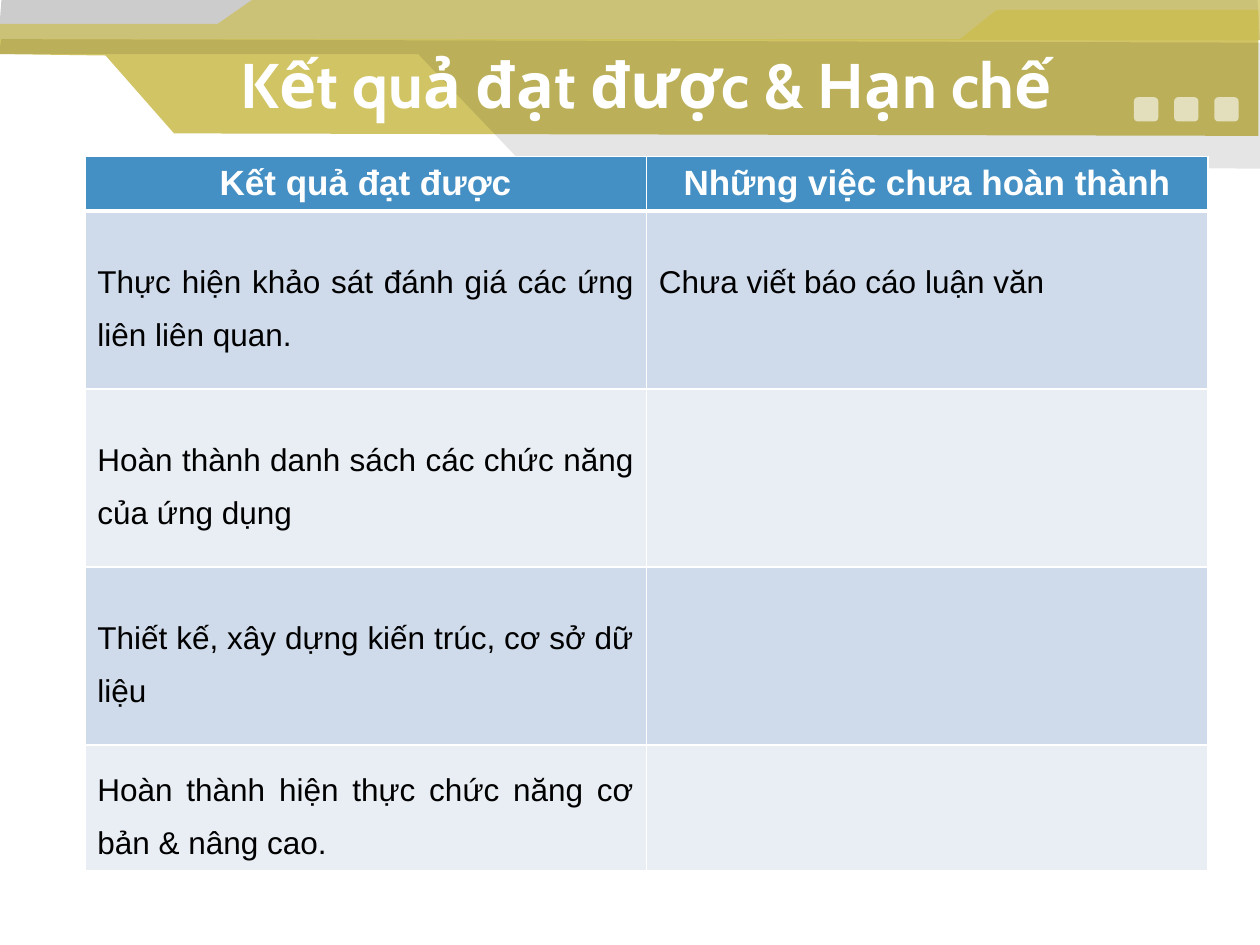
from pptx import Presentation
from pptx.util import Cm, Pt
from pptx.dml.color import RGBColor
from pptx.enum.shapes import MSO_SHAPE
from pptx.enum.text import MSO_ANCHOR, PP_ALIGN
from pptx.oxml import parse_xml
from pptx.oxml.ns import nsdecls, qn
from lxml.etree import SubElement

WHITE = RGBColor(0xFF, 0xFF, 0xFF)
BLACK = RGBColor(0, 0, 0)
GOLD = RGBColor(0xCC, 0xBE, 0x54)
BLUE = RGBColor(0x44, 0x90, 0xC4)
DARK = RGBColor(0xCF, 0xDB, 0xEA)
LIGHT = RGBColor(0xE9, 0xEE, 0xF5)


def paint(shape, color, alpha):
    shape.shadow.inherit = False
    shape.line.fill.background()
    shape.fill.solid()
    shape.fill.fore_color.rgb = color
    node = shape.element.spPr.find(qn("a:solidFill"))[0]
    SubElement(node, qn("a:alpha")).set("val", str(alpha * 1000))


def border(cell, side, width):
    cell._tc.get_or_add_tcPr().append(parse_xml(
        f'<a:ln{side} {nsdecls("a")} w="{Pt(width)}"><a:solidFill>'
        f'<a:srgbClr val="{WHITE}"/></a:solidFill></a:ln{side}>'))


deck = Presentation()
deck.slide_width = Cm(25.4)
deck.slide_height = Cm(19.05)
slide = deck.slides.add_slide(deck.slide_layouts[6])
shapes = slide.shapes

bands = [
    (BLACK, 20, [(-0.03, 0.79), (0.03, 0), (25.35, 0), (25.4, 0.81)]),
    (GOLD, 90, [(0, 0.79), (19.35, 0.79), (20.09, 0.2), (25.37, 0.2),
                (25.37, 2.74), (3.51, 2.69), (2.13, 1.12), (-0.03, 1.09)]),
    (GOLD, 70, [(0, 0.48), (4.39, 0.48), (5.08, 0), (25.43, -0.03),
                (25.43, 0.81), (0, 0.79)]),
    (BLACK, 10, [(-0.03, 1.09), (8.43, 1.09), (10.57, 3.33), (25.4, 3.4),
                 (25.43, 0.86), (0.03, 0.79)]),
]
for color, alpha, points in bands:
    start, *rest = [(Cm(x), Cm(y)) for x, y in points]
    path = shapes.build_freeform(*start)
    path.add_line_segments(rest, close=True)
    paint(path.convert_to_shape(), color, alpha)

for i in range(3):
    dot = shapes.add_shape(MSO_SHAPE.ROUNDED_RECTANGLE,
                           Cm(22.86 + 0.81 * i), Cm(1.96), Cm(0.49), Cm(0.49))
    paint(dot, WHITE, 60)

title = shapes.add_textbox(Cm(3.6), Cm(0.84), Cm(18.85), Cm(1.7))
frame = title.text_frame
frame.word_wrap = True
frame.vertical_anchor = MSO_ANCHOR.MIDDLE
frame.text = "Kết quả đạt được & Hạn chế"
para = frame.paragraphs[0]
para.alignment = PP_ALIGN.CENTER
para.font.name = "Cabin"
para.font.size = Pt(36)
para.font.bold = True
para.font.color.rgb = WHITE

rows = [
    ("Kết quả đạt được", "Những việc chưa hoàn thành"),
    ("Thực hiện khảo sát đánh giá các ứng liên liên quan.",
     "Chưa viết báo cáo luận văn"),
    ("Hoàn thành danh sách các chức năng của ứng dụng", ""),
    ("Thiết kế, xây dựng kiến trúc, cơ sở dữ liệu", ""),
    ("Hoàn thành hiện thực chức năng cơ bản & nâng cao.", ""),
]
highs = [1.04, 3.59, 3.59, 3.59, 2.38]
table = shapes.add_table(len(rows), 2, Cm(1.71), Cm(3.15),
                         Cm(22.64), Cm(sum(highs))).table
for col in table.columns:
    col.width = Cm(11.32)
for r, (texts, high) in enumerate(zip(rows, highs)):
    table.rows[r].height = Cm(high)
    head = r == 0
    for c, text in enumerate(texts):
        cell = table.cell(r, c)
        for side in "LRTB":
            thick = head and side == "B" or r == 1 and side == "T"
            border(cell, side, 3 if thick else 1)
        cell.fill.solid()
        cell.fill.fore_color.rgb = BLUE if head else DARK if r % 2 else LIGHT
        cell.vertical_anchor = MSO_ANCHOR.MIDDLE
        if not text:
            continue
        if c and not head:
            cell.margin_bottom = Cm(1.2)
        cell.text = text
        para = cell.text_frame.paragraphs[0]
        para.alignment = PP_ALIGN.CENTER if head else PP_ALIGN.JUSTIFY
        para.line_spacing = 1.0 if head else 1.5
        para.font.name = "Arial"
        para.font.size = Pt(20 if head else 18)
        para.font.bold = head
        para.font.color.rgb = WHITE if head else BLACK

deck.save("out.pptx")
